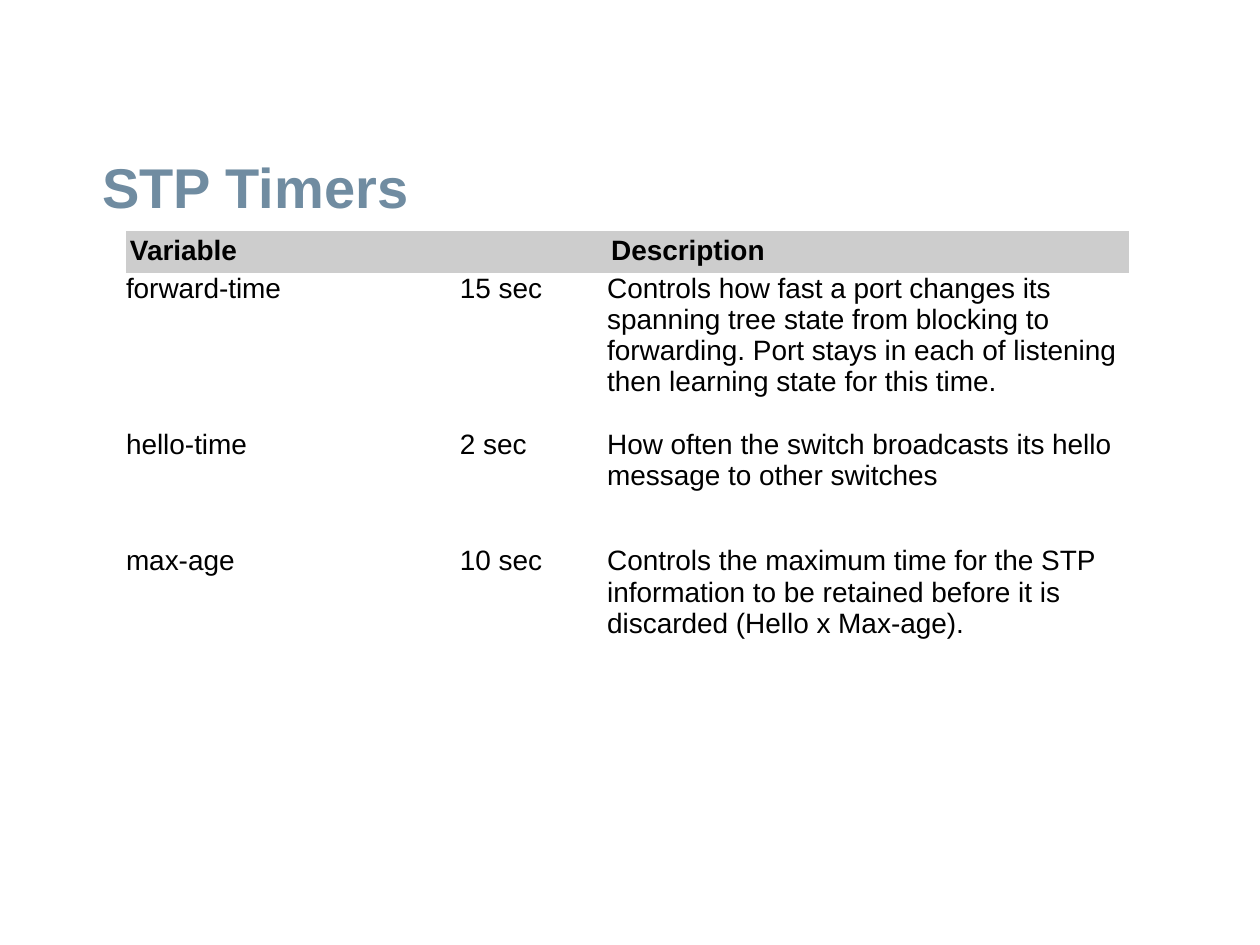
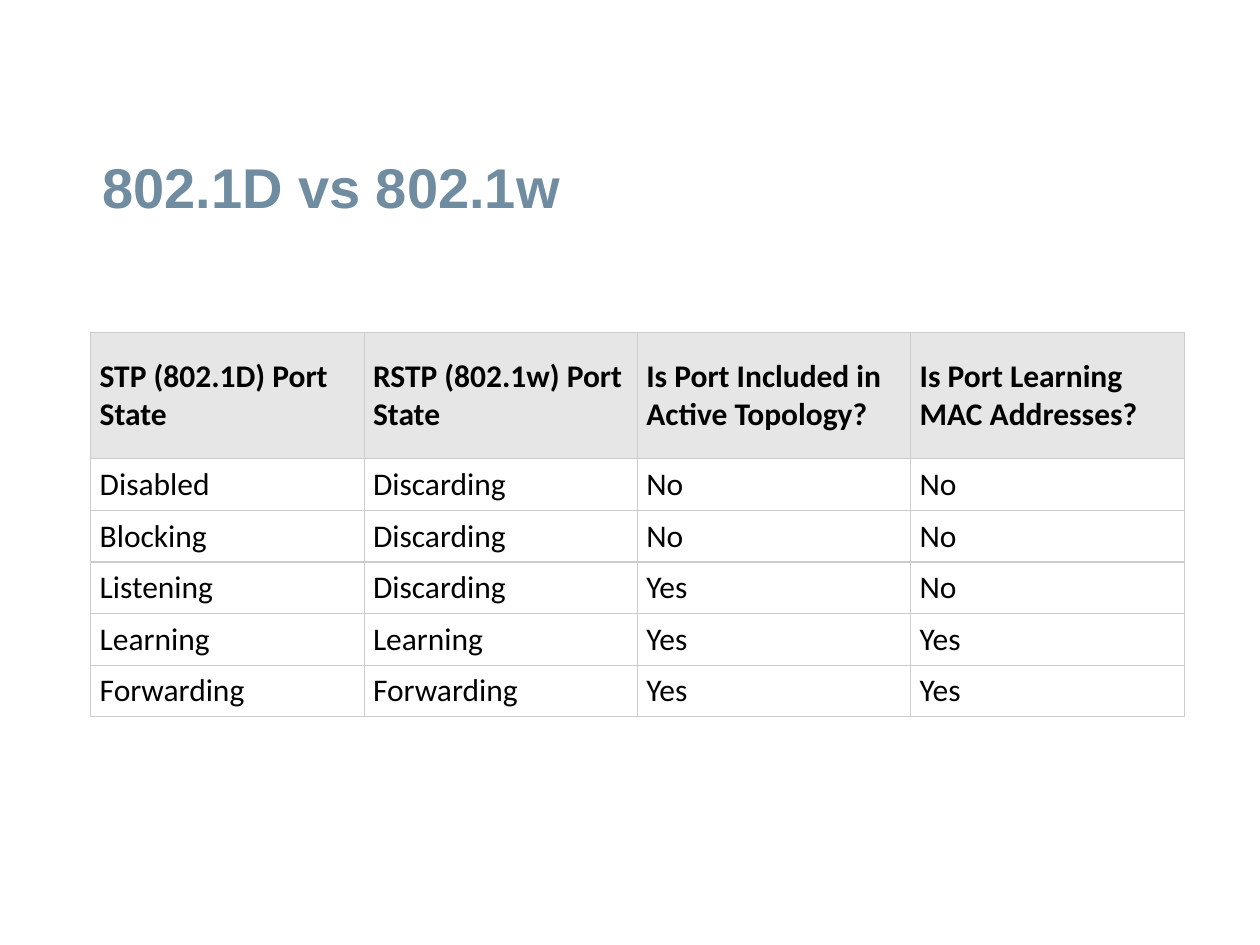
from lxml.etree import SubElement
from pptx import Presentation
from pptx.dml.color import RGBColor
from pptx.enum.text import MSO_ANCHOR as Anchor, PP_ALIGN as Align
from pptx.oxml import parse_xml
from pptx.oxml.ns import nsdecls, qn
from pptx.util import Cm, Pt

TITLE_BLUE = RGBColor(0x70, 0x8C, 0xA1)
BLACK = RGBColor(0, 0, 0)
WHITE = RGBColor(0xFF, 0xFF, 0xFF)
HEADER_GREY = RGBColor(0xCD, 0xCD, 0xCD)
PALE_GREY = RGBColor(0xE6, 0xE6, 0xE6)
BORDER_GREY = RGBColor(0xCC, 0xCC, 0xCC)

PLAIN_TABLE_STYLE = "{2D5ABB26-0587-4C30-8999-92F81FD0307C}"
TITLE_BOX = {"left": Cm(1.83), "top": Cm(2.21), "width": Cm(22.63), "height": Cm(2.34)}
TITLE_FRAME = {
    "margin_left": Cm(0.23), "margin_right": Cm(0.23),
    "margin_top": Cm(0.11), "margin_bottom": Cm(0.11),
    "vertical_anchor": Anchor.BOTTOM, "word_wrap": True,
}
TITLE_FONT = {"name": "Arial", "size": Pt(32), "bold": True}

TIMERS = {
    "title": "STP Timers",
    "rows": [
        ("Variable", "", "Description"),
        ("forward-time", "15 sec",
         "Controls how fast a port changes its spanning tree state from blocking to "
         "forwarding. Port stays in each of listening then learning state for this time."),
        ("hello-time", "2 sec",
         "How often the switch broadcasts its hello message to other switches"),
        ("max-age", "10 sec",
         "Controls the maximum time for the STP information to be retained before it "
         "is discarded (Hello x Max-age)."),
    ],
    "position": (2.54, 4.66),
    "column_widths": [6.73, 2.97, 10.52],
    "row_heights": [0.83, 3.15, 2.34, 2.34],
    "font": {"name": "Arial", "size": Pt(16)},
    "header_fill": HEADER_GREY,
    "header_margins": (0.08, 0.08, 0.08, 0.08),
    "body_margins": (0, 0, 0, 0),
    "anchor": Anchor.TOP,
    "border": None,
}

PORT_STATES = {
    "title": "802.1D vs 802.1w",
    "rows": [
        ("STP (802.1D) Port State", "RSTP (802.1w) Port State",
         "Is Port Included in Active Topology?", "Is Port Learning MAC Addresses?"),
        ("Disabled", "Discarding", "No", "No"),
        ("Blocking", "Discarding", "No", "No"),
        ("Listening", "Discarding", "Yes", "No"),
        ("Learning", "Learning", "Yes", "Yes"),
        ("Forwarding", "Forwarding", "Yes", "Yes"),
    ],
    "position": (1.83, 6.71),
    "column_widths": [5.51] * 4,
    "row_heights": [2.54] + [1.04] * 5,
    "font": {"name": "Calibri", "size": Pt(18)},
    "header_fill": PALE_GREY,
    "header_margins": (0.18, 0.13, 0.13, 0.13),
    "body_margins": (0.18, 0.13, 0.13, 0.13),
    "anchor": Anchor.MIDDLE,
    "border": BORDER_GREY,
}


def set_attributes(target, values):
    for name, value in values.items():
        setattr(target, name, value)


def add_title(slide, text):
    title = slide.shapes.title
    set_attributes(title, TITLE_BOX)
    set_attributes(title.text_frame, TITLE_FRAME)
    paragraph = title.text_frame.paragraphs[0]
    paragraph.alignment = Align.LEFT
    paragraph.line_spacing = 0.9
    run = paragraph.add_run()
    run.text = text
    set_attributes(run.font, TITLE_FONT)
    run.font.color.rgb = TITLE_BLUE


def add_borders(cell, color):
    properties = cell._tc.get_or_add_tcPr()
    for index, side in enumerate(("lnL", "lnR", "lnT", "lnB")):
        line = parse_xml(
            f'<a:{side} {nsdecls("a")} w="{Pt(0.75)}"><a:solidFill>'
            f'<a:srgbClr val="{color}"/></a:solidFill></a:{side}>')
        properties.insert(index, line)


def fill_cell(cell, text, content, is_header):
    margins = content["header_margins" if is_header else "body_margins"]
    for side, margin in zip(("left", "right", "top", "bottom"), margins):
        setattr(cell, f"margin_{side}", Cm(margin))
    cell.vertical_anchor = content["anchor"]
    cell.fill.solid()
    cell.fill.fore_color.rgb = content["header_fill"] if is_header else WHITE
    if content["border"] is not None:
        add_borders(cell, content["border"])

    paragraph = cell.text_frame.paragraphs[0]
    paragraph.alignment = Align.LEFT
    if text:
        run = paragraph.add_run()
        run.text = text
        set_attributes(run.font, {**content["font"], "bold": is_header})
        run.font.color.rgb = BLACK
    else:
        # An empty cell needs the text size too, or it would stretch its row.
        size = int(content["font"]["size"].pt * 100)
        SubElement(paragraph._p, qn("a:endParaRPr"), sz=str(size))


def add_content_table(slide, content):
    rows, widths, heights = (content[key] for key in ("rows", "column_widths", "row_heights"))
    left, top = content["position"]
    frame = slide.shapes.add_table(
        len(rows), len(widths), Cm(left), Cm(top), Cm(sum(widths)), Cm(sum(heights)))
    table = frame.table
    table.horz_banding = False
    table._tbl.tblPr.find(qn("a:tableStyleId")).text = PLAIN_TABLE_STYLE
    for column, width in zip(table.columns, widths):
        column.width = Cm(width)
    for row_index, (row, height, texts) in enumerate(zip(table.rows, heights, rows)):
        row.height = Cm(height)
        for cell, text in zip(row.cells, texts):
            fill_cell(cell, text, content, is_header=row_index == 0)


def main():
    presentation = Presentation()
    presentation.slide_width = Cm(25.4)
    presentation.slide_height = Cm(19.05)
    title_only = presentation.slide_layouts.get_by_name("Title Only")
    for content in (TIMERS, PORT_STATES):
        slide = presentation.slides.add_slide(title_only)
        add_title(slide, content["title"])
        add_content_table(slide, content)
    presentation.save("out.pptx")


if __name__ == "__main__":
    main()
